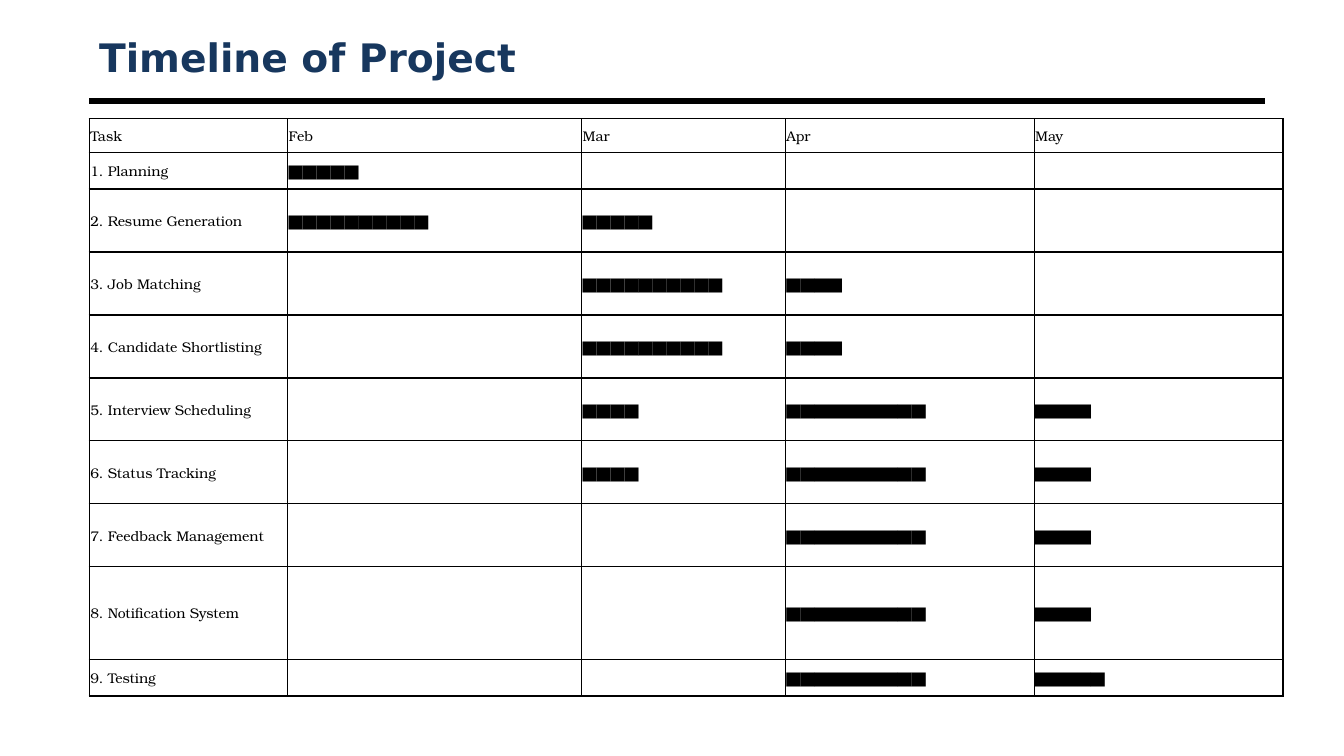
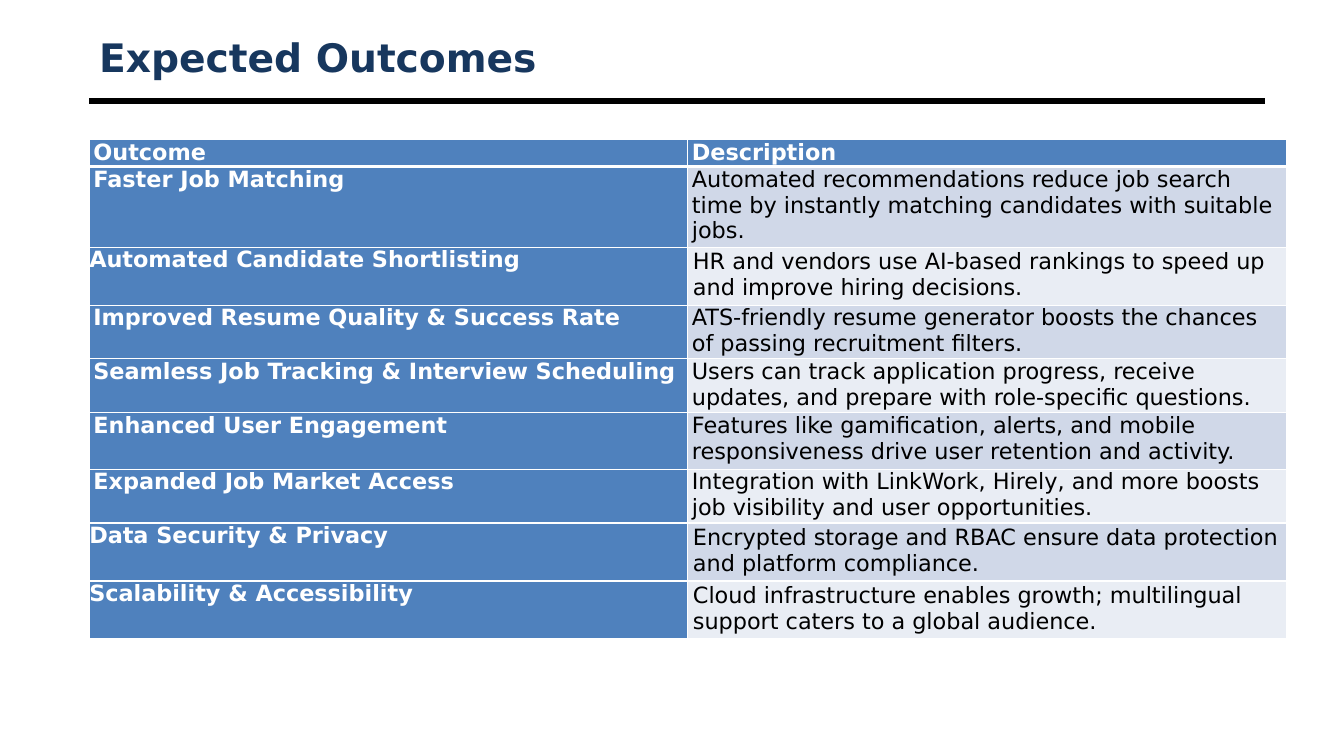
from dataclasses import dataclass
from typing import NamedTuple, Optional

from lxml.etree import SubElement
from pptx import Presentation
from pptx.dml.color import RGBColor
from pptx.enum.shapes import MSO_CONNECTOR
from pptx.enum.text import MSO_ANCHOR
from pptx.oxml import parse_xml
from pptx.oxml.ns import nsdecls, qn
from pptx.util import Emu, Pt

BLACK = RGBColor(0x00, 0x00, 0x00)
WHITE = RGBColor(0xFF, 0xFF, 0xFF)
NAVY = RGBColor(0x17, 0x37, 0x5E)
BLUE = RGBColor(0x4F, 0x81, 0xBD)
BANDS = (RGBColor(0xD0, 0xD8, 0xE8), RGBColor(0xE9, 0xED, 0xF4))

SANS = "DejaVu Sans"
SERIF = "TeX Gyre Bonum"
PLAIN = "{2D5ABB26-0587-4C30-8999-92F81FD0307C}"  # table style without lines

SCALE = 9525  # EMU in one px
LEFT, WIDE = 85, 1120


class Pad(NamedTuple):
    side: int
    edge: int


@dataclass(frozen=True)
class Style:
    face: str
    size: int
    color: RGBColor
    bold: bool = False
    pad: Pad = Pad(1, 1)
    fill: Optional[RGBColor] = None
    anchor: MSO_ANCHOR = MSO_ANCHOR.TOP
    line: RGBColor = WHITE
    base: int = 1  # bottom border in points


@dataclass(frozen=True)
class Cell:
    text: str
    style: Style


class Task(NamedTuple):
    name: str
    bars: tuple[int, int, int, int]


class Result(NamedTuple):
    name: str
    text: str
    high: int
    flush: bool = False


MONTHS = ("Feb", "Mar", "Apr", "May")
TASKS = (
    Task("Planning", (5, 0, 0, 0)),
    Task("Resume Generation", (10, 5, 0, 0)),
    Task("Job Matching", (0, 10, 4, 0)),
    Task("Candidate Shortlisting", (0, 10, 4, 0)),
    Task("Interview Scheduling", (0, 4, 10, 4)),
    Task("Status Tracking", (0, 4, 10, 4)),
    Task("Feedback Management", (0, 0, 10, 4)),
    Task("Notification System", (0, 0, 10, 4)),
    Task("Testing", (0, 0, 10, 5)),
)
RESULTS = (
    Result("Faster Job Matching",
           "Automated recommendations reduce job search time by instantly "
           "matching candidates with suitable jobs.", 73),
    Result("Automated Candidate Shortlisting",
           "HR and vendors use AI-based rankings to speed up and improve "
           "hiring decisions.", 54, True),
    Result("Improved Resume Quality & Success Rate",
           "ATS-friendly resume generator boosts the chances of passing "
           "recruitment filters.", 49),
    Result("Seamless Job Tracking & Interview Scheduling",
           "Users can track application progress, receive updates, and "
           "prepare with role-specific questions.", 49),
    Result("Enhanced User Engagement",
           "Features like gamification, alerts, and mobile responsiveness "
           "drive user retention and activity.", 54),
    Result("Expanded Job Market Access",
           "Integration with LinkWork, Hirely, and more boosts job "
           "visibility and user opportunities.", 49),
    Result("Data Security & Privacy",
           "Encrypted storage and RBAC ensure data protection and platform "
           "compliance.", 54, True),
    Result("Scalability & Accessibility",
           "Cloud infrastructure enables growth; multilingual support "
           "caters to a global audience.", 54, True),
)


def px(num: int) -> Emu:
    return Emu(num * SCALE)


def set_font(para, face: str, size: int, color: RGBColor, bold: bool) -> None:
    font = para.font
    font.name, font.size, font.bold = face, Pt(size), bold
    font.color.rgb = color


def add_page(deck, title: str):
    """Add a slide with its title and the rule below it."""
    slide = deck.slides.add_slide(deck.slide_layouts[6])
    rule = slide.shapes.add_connector(
        MSO_CONNECTOR.STRAIGHT, px(LEFT), px(96), px(LEFT + WIDE), px(96))
    rule.line.color.rgb = BLACK
    rule.line.width = Pt(4.5)
    SubElement(rule._element.spPr, qn("a:effectLst"))

    frame = slide.shapes.add_textbox(
        px(LEFT), px(29), px(WIDE), px(51)).text_frame
    frame.word_wrap = True
    frame.vertical_anchor = MSO_ANCHOR.MIDDLE
    para = frame.paragraphs[0]
    para.text = title
    set_font(para, SANS, 28, NAVY, True)
    return slide


def set_edges(cell, style: Style) -> None:
    """Border lines come before the fill in the cell properties."""
    props = cell._tc.get_or_add_tcPr()
    for spot, side in enumerate("LRTB"):
        width = Pt(style.base if side == "B" else 1)
        props.insert(spot, parse_xml(
            f'<a:ln{side} {nsdecls("a")} w="{width}"><a:solidFill>'
            f'<a:srgbClr val="{style.line}"/></a:solidFill></a:ln{side}>'))


def fill_cell(cell, item: Cell) -> None:
    style = item.style
    cell.margin_left = cell.margin_right = px(style.pad.side)
    cell.margin_top = cell.margin_bottom = px(style.pad.edge)
    cell.vertical_anchor = style.anchor
    if style.fill is None:
        cell.fill.background()
    else:
        cell.fill.solid()
        cell.fill.fore_color.rgb = style.fill
    para = cell.text_frame.paragraphs[0]
    if item.text:
        para.text = item.text
    set_font(para, style.face, style.size, style.color, style.bold)
    set_edges(cell, style)


def add_grid(slide, top: int, cols: list[int], highs: list[int],
             rows: list[list[Cell]]) -> None:
    table = slide.shapes.add_table(
        len(highs), len(cols), px(LEFT), px(top),
        px(sum(cols)), px(sum(highs))).table
    table.first_row = table.horz_banding = False
    table._tbl.tblPr.find(qn("a:tableStyleId")).text = PLAIN
    for col, width in zip(table.columns, cols):
        col.width = px(width)
    for row, high, items in zip(table.rows, highs, rows):
        row.height = px(high)
        for cell, item in zip(row.cells, items):
            fill_cell(cell, item)


def add_plan(deck) -> None:
    """Gantt table: one block mark per unit of work."""
    slide = add_page(deck, "Timeline of Project")
    style = Style(SERIF, 10, BLACK, anchor=MSO_ANCHOR.MIDDLE, line=BLACK)
    texts = [["Task", *MONTHS]]
    for num, task in enumerate(TASKS, 1):
        texts.append([f"{num}. {task.name}", *("█" * n for n in task.bars)])
    rows = [[Cell(text, style) for text in line] for line in texts]
    add_grid(slide, 113, [189, 280, 194, 237, 237],
             [32, 35] + [60] * 6 + [88, 35], rows)


def add_gains(deck) -> None:
    """Outcome table: blue heads, banded descriptions."""
    slide = add_page(deck, "Expected Outcomes")
    tight, none, loose = Pad(4, 0), Pad(0, 0), Pad(5, 2)
    head = Style(SANS, 16, WHITE, True, tight, BLUE, base=3)
    rows = [[Cell("Outcome", head), Cell("Description", head)]]
    for num, item in enumerate(RESULTS):
        name = Style(SANS, 16, WHITE, True,
                     none if item.flush else tight, BLUE)
        body = Style(SANS, 16, BLACK, False,
                     loose if item.flush else tight, BANDS[num % 2])
        rows.append([Cell(item.name, name), Cell(item.text, body)])
    add_grid(slide, 133, [570, 570],
             [24] + [item.high for item in RESULTS], rows)


def main() -> None:
    deck = Presentation()
    deck.slide_width, deck.slide_height = px(1280), px(720)
    add_plan(deck)
    add_gains(deck)
    deck.save("out.pptx")


if __name__ == "__main__":
    main()
